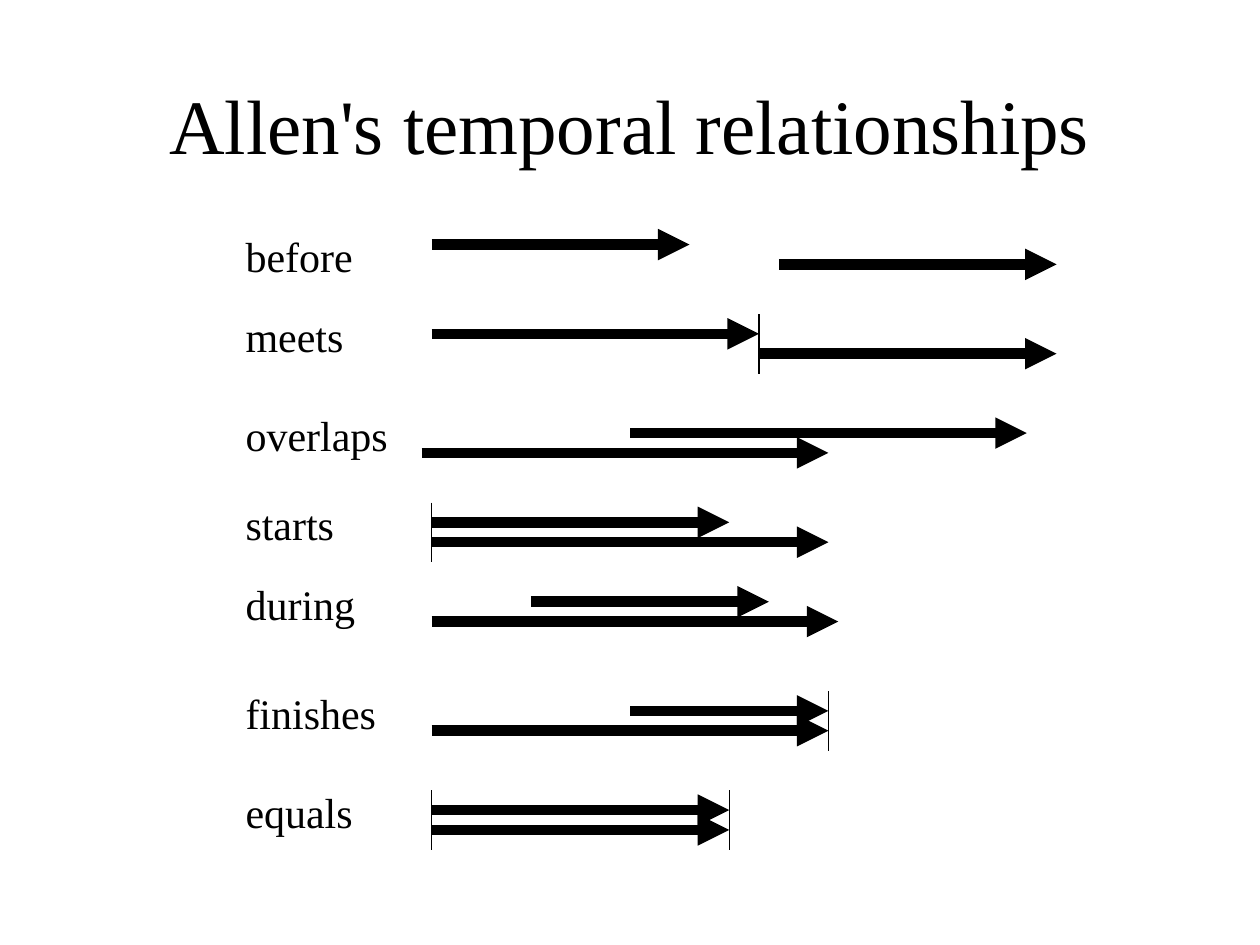
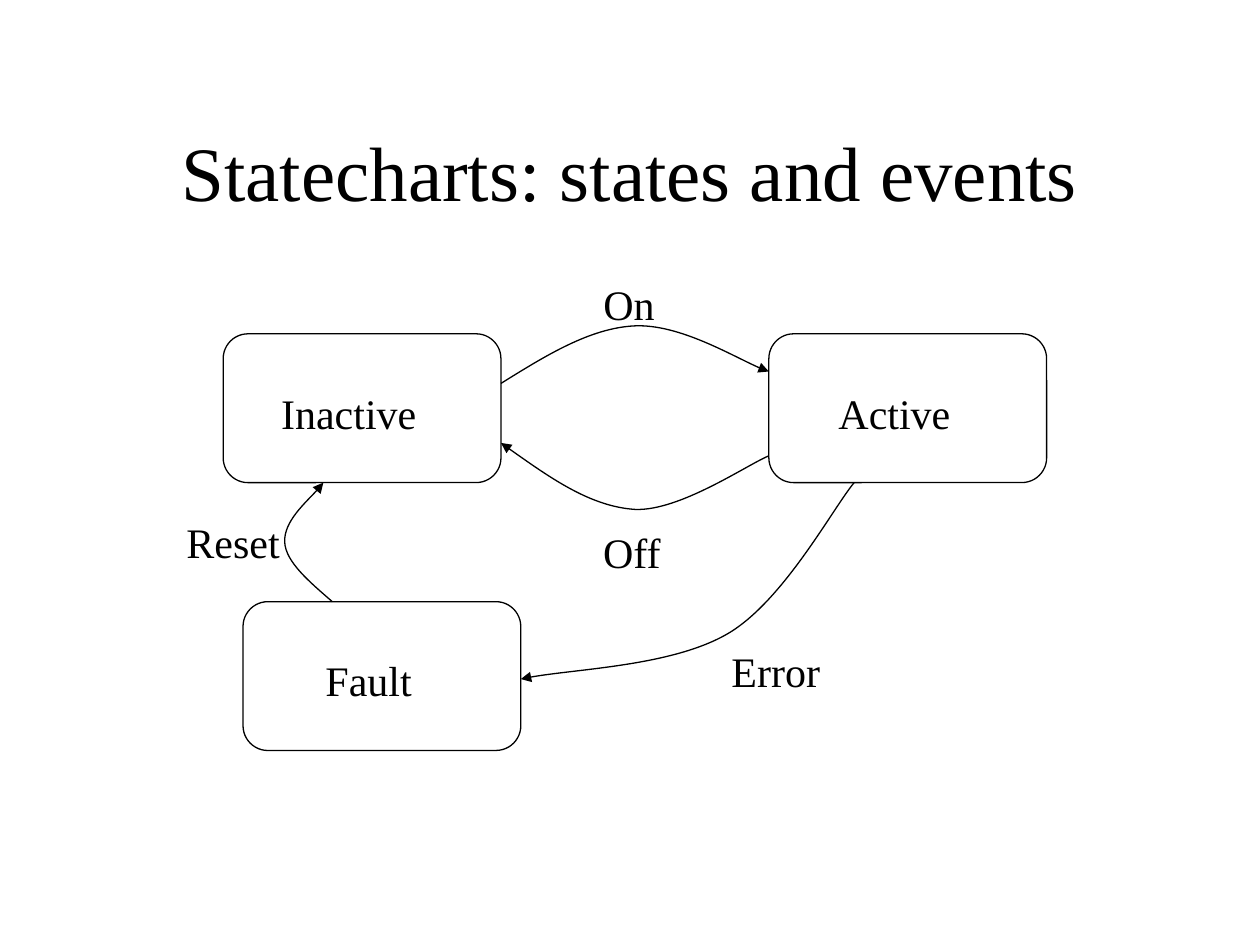
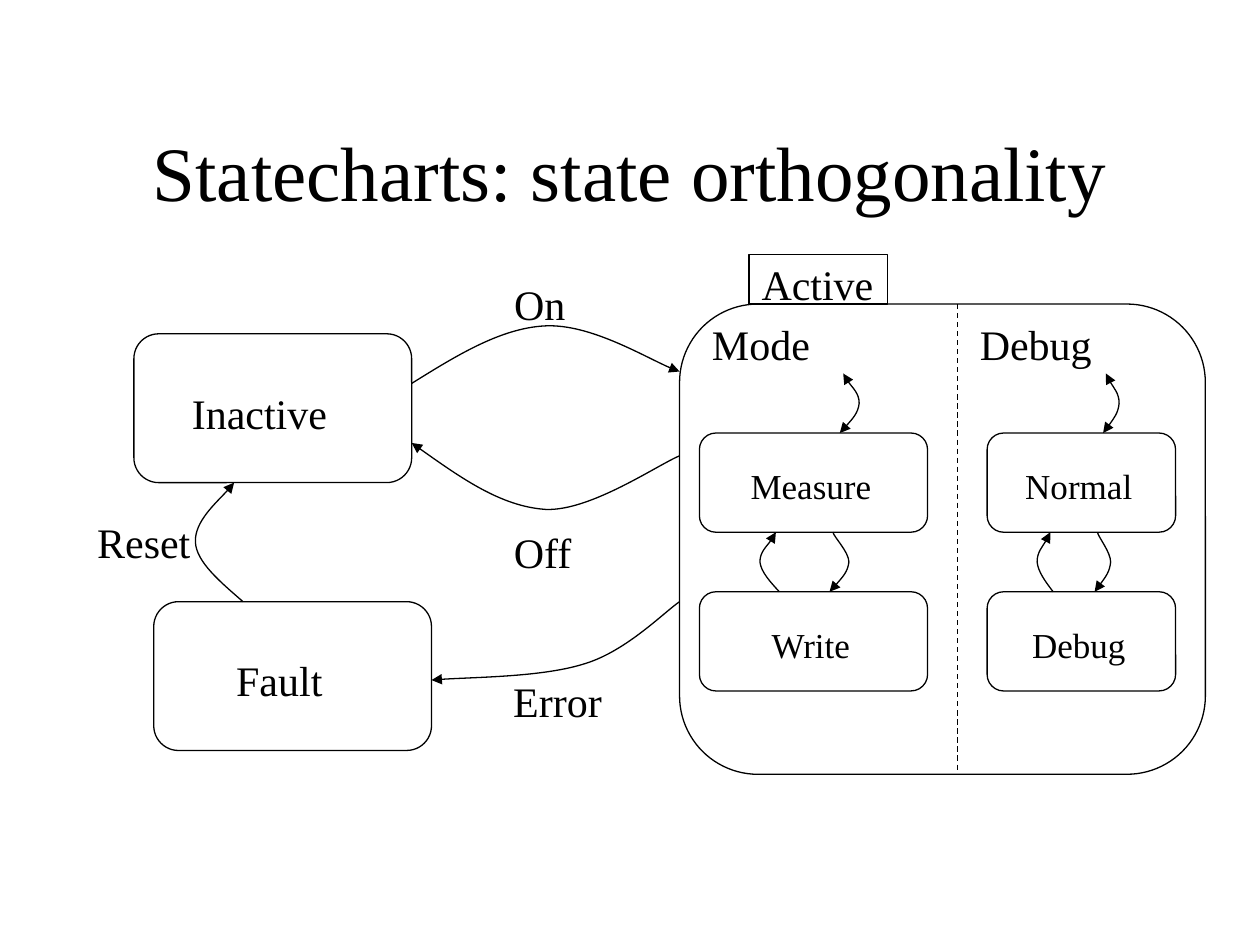
import lxml.etree
import pptx
import pptx.dml.color
import pptx.enum.dml
import pptx.enum.shapes
import pptx.enum.text
import pptx.oxml.ns
import pptx.util

COLORS = {"ink": "000000", "paper": "FFFFFF"}
FONT = "Times New Roman"
CELL = pptx.util.Mm(2)
ORIGIN_COL, ORIGIN_ROW = 0.5, 0.65
LOOSE = 1.16
THIN, THICK = 0.75, 6
ALIGN = pptx.enum.text.PP_ALIGN
ANCHOR = pptx.enum.text.MSO_ANCHOR
SHAPE = pptx.enum.shapes.MSO_SHAPE
qn = pptx.oxml.ns.qn

# name, row, rows down to the first interval, intervals (from, to), tick columns, label width
RELATIONS = [
    ("before", 22, 2, [(43, 69), (78, 106)], [], 13.3),
    ("meets", 30, 3, [(43, 76), (76, 106)], [76], 12.4),
    ("overlaps", 40, 3, [(63, 103), (42, 83)], [], 16.9),
    ("starts", 49, 3, [(43, 73), (43, 83)], [43], 11.4),
    ("during", 57, 3, [(53, 77), (43, 84)], [], 13.6),
    ("finishes", 68, 3, [(63, 83), (43, 83)], [83], 15.6),
    ("equals", 78, 3, [(43, 73), (43, 73)], [43, 73], 13.3),
]

ON = [(50, 38), (54.5, 35.2), (59, 32.4), (63.5, 32.2), (68, 32), (74.8, 36.1), (77, 36.8)]
OFF = [(50, 44), (54.5, 47.2), (59, 50.4), (63.5, 50.7), (68, 50.9), (74.8, 46.2), (77, 45.3)]
RESET = [(33, 60), (30.7, 58), (28.3, 56), (28.2, 54), (28.1, 51.9), (31.4, 49), (32.1, 48)]
ERROR_FROM_ACTIVE = [(85.6, 48), (83.5, 50.5), (78.5, 59.9), (72.9, 63.2),
                     (67.3, 66.5), (56.3, 66.8), (52, 67.8)]
ERROR_FROM_REGIONS = [(68, 60), (66.4, 61.1), (62.7, 64.9), (58.6, 66.2),
                      (54.4, 67.6), (46.2, 67.6), (43, 67.9)]
# Small bend between stacked states: share of the state's width, rows
BEND = [(0, 0), (0.04, -1), (0.08, -2), (0.085, -3), (0.085, -4), (0.02, -5.5), (0.015, -6)]


def color(name):
    return pptx.dml.color.RGBColor.from_string(COLORS[name])


class Deck:
    """Holds the style and the current slide; places things by column and row."""

    def __init__(self):
        self.prs = pptx.Presentation()
        self.prs.slide_width = pptx.util.Inches(10)
        self.prs.slide_height = pptx.util.Inches(7.5)
        self.s = None

    def point(self, col, row):
        return round((col + ORIGIN_COL) * CELL), round((row + ORIGIN_ROW) * CELL)

    def box(self, col, row, cols, rows):
        return *self.point(col, row), round(cols * CELL), round(rows * CELL)

    def set_text(self, sp, text, size, align=ALIGN.CENTER, spacing=LOOSE):
        tf = sp.text_frame
        tf.text = text
        tf.auto_size = pptx.enum.text.MSO_AUTO_SIZE.NONE
        p = tf.paragraphs[0]
        p.alignment = align
        p.line_spacing = spacing
        font = p.runs[0].font
        font.name, font.size = FONT, pptx.util.Pt(size)
        font.color.rgb = color("ink")
        return tf

    def stroke(self, sp, width=THIN, head=False, tail=False, dashed=False):
        sp.line.color.rgb = color("ink")
        sp.line.width = pptx.util.Pt(width)
        if dashed:
            sp.line.dash_style = pptx.enum.dml.MSO_LINE.DASH
        ln = sp.element.find(".//" + qn("a:ln"))
        for end, shown in (("a:headEnd", head), ("a:tailEnd", tail)):
            if shown:
                lxml.etree.SubElement(ln, qn(end), type="triangle")

    def slide(self, title, row=7.9, spacing=LOOSE):
        self.s = self.prs.slides.add_slide(self.prs.slide_layouts[5])
        fill = self.s.background.fill
        fill.solid()
        fill.fore_color.rgb = color("paper")
        sp = self.s.shapes.title
        sp.left, sp.top, sp.width, sp.height = self.box(9, row, 108, 15.9)
        tf = self.set_text(sp, title, 44, spacing=spacing)
        tf.vertical_anchor = ANCHOR.MIDDLE

    def label(self, text, col, row, cols, rows=7.2, **style):
        sp = self.s.shapes.add_textbox(*self.box(col, row, cols, rows))
        self.set_text(sp, text, 24, **style).word_wrap = False

    def line(self, start, end, **style):
        sp = self.s.shapes.add_connector(pptx.enum.shapes.MSO_CONNECTOR.STRAIGHT,
                                         *self.point(*start), *self.point(*end))
        self.stroke(sp, **style)
        lxml.etree.SubElement(sp.element.spPr, qn("a:effectLst"))

    def frame(self, kind, col, row, cols, rows):
        sp = self.s.shapes.add_shape(kind, *self.box(col, row, cols, rows))
        sp.fill.background()
        sp.shadow.inherit = False
        self.stroke(sp)
        return sp

    def state(self, text, col, row, cols=28, rows=15, size=24, nudge=1.33):
        """Rounded box whose text sits `nudge` columns left of the centre."""
        sp = self.frame(SHAPE.ROUNDED_RECTANGLE, col, row, cols, rows)
        tf = self.set_text(sp, text, size)
        tf.vertical_anchor = ANCHOR.MIDDLE
        tf.margin_right = tf.margin_left + round(2 * nudge * CELL)

    def curve(self, points, shift=0, head=False, tail=False):
        """Bezier path: a start point, then two controls and an end per piece."""
        start, *rest = [self.point(col + shift, row) for col, row in points]
        builder = self.s.shapes.build_freeform(*start)
        builder.add_line_segments(rest, close=False)
        sp = builder.convert_to_shape()
        steps = iter(list(sp.element.iter(qn("a:lnTo"))))
        for first, second, third in zip(steps, steps, steps):
            first.tag = qn("a:cubicBezTo")
            for step in (second, third):
                first.append(step[0])
                step.getparent().remove(step)
        sp.fill.background()
        sp.shadow.inherit = False
        self.stroke(sp, head=head, tail=tail)

    def lifecycle(self, shift=0):
        """Inactive and Fault with the events both statecharts share."""
        self.state("Inactive", 22 + shift, 33)
        self.state("Fault", 24 + shift, 60)
        self.curve(ON, shift, tail=True)
        self.curve(OFF, shift, head=True)
        self.curve(RESET, shift, tail=True)
        self.label("On", 59 + shift, 26, 7.8)
        self.label("Off", 59 + shift, 51, 8.4)
        self.label("Reset", 17 + shift, 50, 12)

    def region(self, upper, lower, col, cols):
        """Two stacked states, the bends between them and the entry bend."""
        for text, row in ((upper, 43), (lower, 59)):
            self.state(text, col, row, cols, 10, size=20, nudge=0.25)
        bends = [(0.35, 59, -1, False, True), (0.57, 59, 1, True, False),
                 (0.615, 43, 1, True, True)]
        for share, row, side, head, tail in bends:
            points = [(col + (share + side * dx) * cols, row + dy) for dx, dy in BEND]
            self.curve(points, head=head, tail=tail)


def temporal_relationships(deck):
    deck.slide("Allen's temporal relationships", row=3.9, spacing=1.0)
    for name, row, drop, intervals, ticks, cols in RELATIONS:
        deck.label(name, 23, row, cols, 6.35, align=ALIGN.LEFT, spacing=1.0)
        for i, (start, end) in enumerate(intervals):
            y = row + drop + 2 * i
            deck.line((start, y), (end, y), width=THICK, tail=True)
        for col in ticks:
            deck.line((col, row + 1), (col, row + 7))


def states_and_events(deck):
    deck.slide("Statecharts: states and events")
    deck.lifecycle()
    deck.state("Active", 77, 33)
    deck.curve(ERROR_FROM_ACTIVE, tail=True)
    deck.label("Error", 72, 63, 11.4)


def state_orthogonality(deck):
    deck.slide("Statecharts: state orthogonality")
    deck.frame(SHAPE.ROUNDED_RECTANGLE, 68, 30, 53, 47.4)
    deck.frame(SHAPE.RECTANGLE, 75, 25, 14, 5)
    deck.label("Active", 75, 24, 13.8)
    deck.lifecycle(shift=-9)
    deck.curve(ERROR_FROM_REGIONS, tail=True)
    deck.label("Error", 50, 66, 11.4)
    deck.line((96, 30), (96, 77), dashed=True)
    deck.label("Mode", 70, 30, 12.4)
    deck.region("Measure", "Write", 70, 23)
    deck.label("Debug", 97, 30, 13.8)
    deck.region("Normal", "Debug", 99, 19)


def main():
    deck = Deck()
    temporal_relationships(deck)
    states_and_events(deck)
    state_orthogonality(deck)
    deck.prs.save("out.pptx")


if __name__ == "__main__":
    main()
